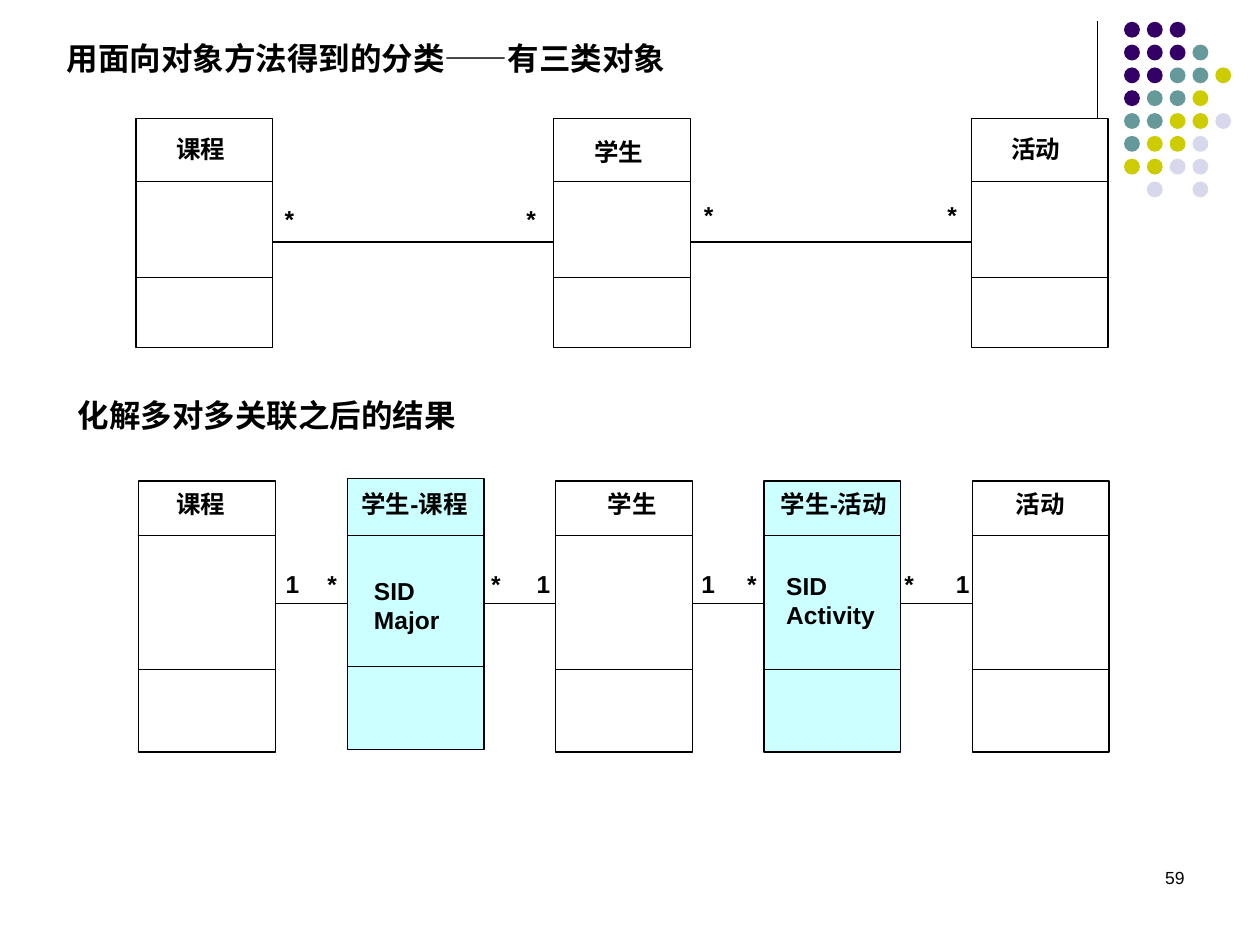
from dataclasses import dataclass

import lxml.etree
import pptx
import pptx.dml.color
import pptx.enum.shapes
import pptx.enum.text
import pptx.oxml.ns
import pptx.shapes.base
import pptx.slide
import pptx.text.text
import pptx.util

Cm = pptx.util.Cm
Align = pptx.enum.text.PP_ALIGN
AutoSize = pptx.enum.text.MSO_AUTO_SIZE
ShapeKind = pptx.enum.shapes.MSO_SHAPE


@dataclass(frozen=True)
class Theme:
    font: str = "Arial"
    ink: str = "000000"
    paper: str = "FFFFFF"
    link_class: str = "CCFFFF"
    purple: str = "330066"
    teal: str = "669999"
    yellow: str = "CCCC00"
    lavender: str = "D8D8EC"
    heading_size: int = 18
    label_size: int = 14
    number_size: int = 10
    line_width: float = 0.75


@dataclass(frozen=True)
class ClassBox:
    left: float
    top: float
    height: float
    dividers: tuple[float, float]
    fill: str


@dataclass(frozen=True)
class Label:
    text: str
    left: float
    top: float
    width: float
    height: float = 1.35
    align: Align = Align.LEFT
    size: int = 14
    bold: bool = True
    wrap: bool = False
    inset: bool = True


THEME = Theme()
BOX_WIDTH = 2.76
DOT_SIZE = 0.32
DOT_PITCH = 0.46
DOT_ROWS = ("PPP", "PPPT", "PPTTY", "PTTY", "TTYYL", "TYYL", "YYLL", " L L")
DOT_COLOURS = {"P": THEME.purple, "T": THEME.teal, "Y": THEME.yellow, "L": THEME.lavender}

UPPER_BOXES = [ClassBox(2.74 + 8.42 * i, 2.39, 4.62, (3.66, 5.59), THEME.paper) for i in range(3)]
LOWER_BOXES = [
    ClassBox(2.8, 9.7, 5.46, (10.8, 13.49), THEME.paper),
    ClassBox(7.0, 9.65, 5.46, (10.8, 13.44), THEME.link_class),
    ClassBox(11.2, 9.7, 5.46, (10.8, 13.49), THEME.paper),
    ClassBox(15.4, 9.7, 5.46, (10.8, 13.49), THEME.link_class),
    ClassBox(19.6, 9.7, 5.46, (10.8, 13.49), THEME.paper),
]
CLASS_NAMES = [
    Label(text, left, top, width, align=Align.CENTER)
    for text, left, top, width in (
        ("课程", 2.74, 2.57, 2.62),
        ("学生", 11.23, 2.64, 2.49),
        ("活动", 19.69, 2.57, 2.39),
        ("课程", 2.74, 9.73, 2.62),
        ("学生-课程", 6.96, 9.73, 2.79),
        ("学生", 11.53, 9.73, 2.44),
        ("学生-活动", 15.44, 9.73, 2.74),
        ("活动", 19.69, 9.73, 2.57),
    )
]
MULTIPLICITIES = [
    *(Label("*", left, 3.99, 1.07) for left in (5.49, 10.36)),
    *(Label("*", left, 3.91, 1.07) for left in (13.94, 18.85)),
    *(Label("1", left, 11.35, 1.07) for left in (5.51, 10.57, 13.89, 19.02)),
    *(Label("*", left, 11.35, 0.94) for left in (6.35, 9.65, 14.81, 17.98)),
]
ATTRIBUTES = [
    Label("SID\nMajor", 7.29, 11.48, 2.46, 1.85),
    Label("SID\nActivity", 15.6, 11.38, 2.62, 1.96),
]
TITLE = Label("用面向对象方法得到的分类——有三类对象", 1.35, 0.79, 17.22, 0.76,
              size=THEME.heading_size, wrap=True, inset=False)
SUBHEADING = Label("化解多对多关联之后的结果", 1.57, 7.98, 7.62, 0.76,
                   size=THEME.heading_size, inset=False)
PAGE_NUMBER = Label("59", 18.21, 17.35, 5.92, 1.27, Align.RIGHT,
                    THEME.number_size, bold=False, wrap=True)


def colour(value: str) -> pptx.dml.color.RGBColor:
    return pptx.dml.color.RGBColor.from_string(value)


def fill_label(shape: pptx.shapes.base.BaseShape, label: Label) -> None:
    text_frame = shape.text_frame
    text_frame.text = label.text
    text_frame.word_wrap = label.wrap
    text_frame.vertical_anchor = pptx.enum.text.MSO_ANCHOR.TOP
    text_frame.auto_size = AutoSize.NONE if label.inset else AutoSize.SHAPE_TO_FIT_TEXT
    text_frame.margin_left = text_frame.margin_right = Cm(0.25 if label.inset else 0)
    text_frame.margin_top = text_frame.margin_bottom = Cm(0.13 if label.inset else 0)
    for paragraph in text_frame.paragraphs:
        paragraph.alignment = label.align
        for run in paragraph.runs:
            run.font.name = THEME.font
            run.font.size = pptx.util.Pt(label.size)
            run.font.bold = label.bold
            run.font.color.rgb = colour(THEME.ink)


def add_label(slide: pptx.slide.Slide, label: Label) -> None:
    shape = slide.shapes.add_textbox(
        Cm(label.left), Cm(label.top), Cm(label.width), Cm(label.height))
    fill_label(shape, label)


def add_title(slide: pptx.slide.Slide, label: Label) -> None:
    title = slide.shapes.title
    title.left, title.top = Cm(label.left), Cm(label.top)
    title.width, title.height = Cm(label.width), Cm(label.height)
    fill_label(title, label)


def add_line(slide: pptx.slide.Slide, x1: float, y1: float, x2: float, y2: float) -> None:
    connector = slide.shapes.add_connector(
        pptx.enum.shapes.MSO_CONNECTOR.STRAIGHT, Cm(x1), Cm(y1), Cm(x2), Cm(y2))
    connector.line.color.rgb = colour(THEME.ink)
    connector.line.width = pptx.util.Pt(THEME.line_width)
    lxml.etree.SubElement(connector._element.spPr, pptx.oxml.ns.qn("a:effectLst"))


def add_dots(slide: pptx.slide.Slide, left: float, top: float) -> None:
    group = slide.shapes.add_group_shape()
    for row, pattern in enumerate(DOT_ROWS):
        for column, key in enumerate(pattern):
            if key in DOT_COLOURS:
                dot = group.shapes.add_shape(
                    ShapeKind.OVAL, Cm(left + column * DOT_PITCH), Cm(top + row * DOT_PITCH),
                    Cm(DOT_SIZE), Cm(DOT_SIZE))
                dot.shadow.inherit = False
                dot.fill.solid()
                dot.fill.fore_color.rgb = colour(DOT_COLOURS[key])
                dot.line.fill.background()


def add_class_box(slide: pptx.slide.Slide, box: ClassBox) -> None:
    shape = slide.shapes.add_shape(
        ShapeKind.RECTANGLE, Cm(box.left), Cm(box.top), Cm(BOX_WIDTH), Cm(box.height))
    shape.shadow.inherit = False
    shape.fill.solid()
    shape.fill.fore_color.rgb = colour(box.fill)
    shape.line.color.rgb = colour(THEME.ink)
    shape.line.width = pptx.util.Pt(THEME.line_width)
    for y in box.dividers:
        add_line(slide, box.left, y, box.left + BOX_WIDTH, y)


def add_class_row(slide: pptx.slide.Slide, boxes: list[ClassBox], association_y: float) -> None:
    for box in boxes:
        add_class_box(slide, box)
    for box, neighbour in zip(boxes, boxes[1:]):
        add_line(slide, box.left + BOX_WIDTH, association_y, neighbour.left, association_y)


def main() -> None:
    presentation = pptx.Presentation()
    presentation.slide_width, presentation.slide_height = Cm(25.4), Cm(19.05)
    slide = presentation.slides.add_slide(presentation.slide_layouts.get_by_name("Title Only"))
    add_title(slide, TITLE)
    add_line(slide, 22.12, 0.43, 22.12, 4.65)
    add_dots(slide, 22.66, 0.44)
    add_class_row(slide, UPPER_BOXES, 4.88)
    add_class_row(slide, LOWER_BOXES, 12.17)
    for label in (*CLASS_NAMES, *MULTIPLICITIES, *ATTRIBUTES, SUBHEADING, PAGE_NUMBER):
        add_label(slide, label)
    presentation.save("out.pptx")


if __name__ == "__main__":
    main()
